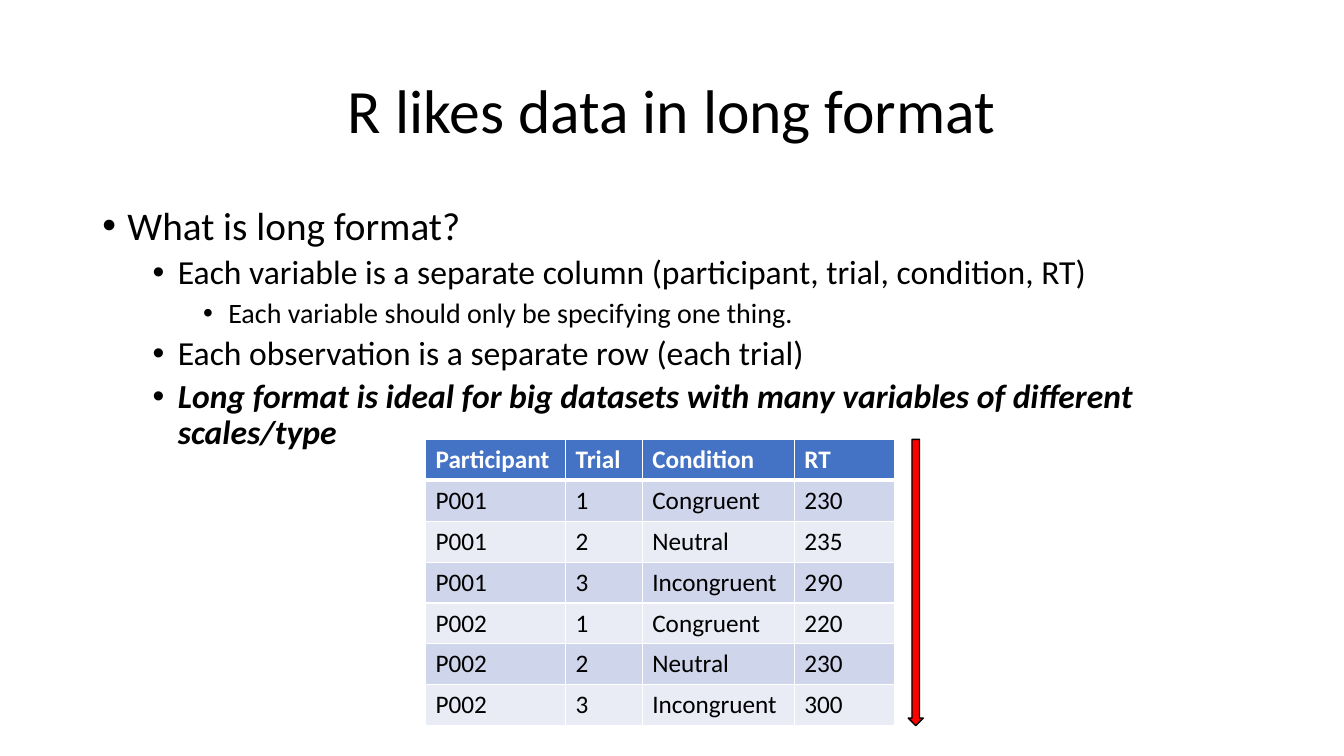
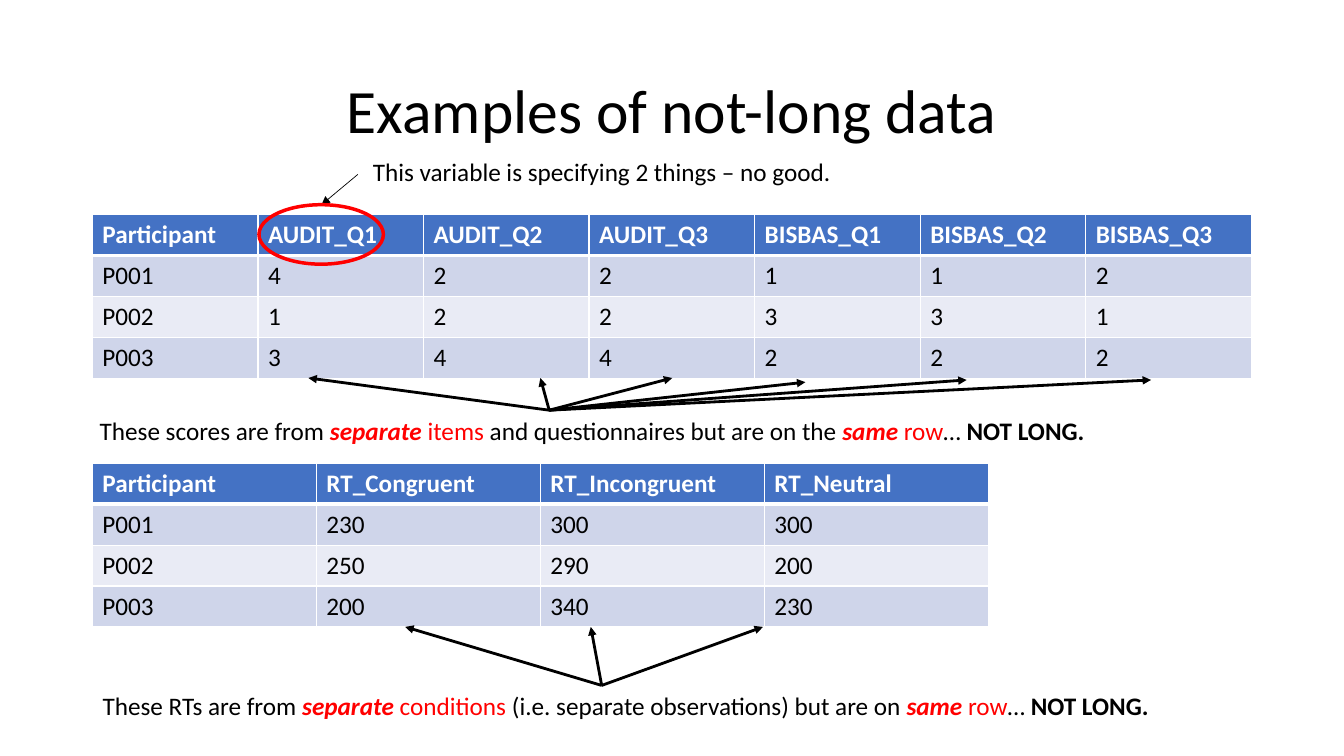
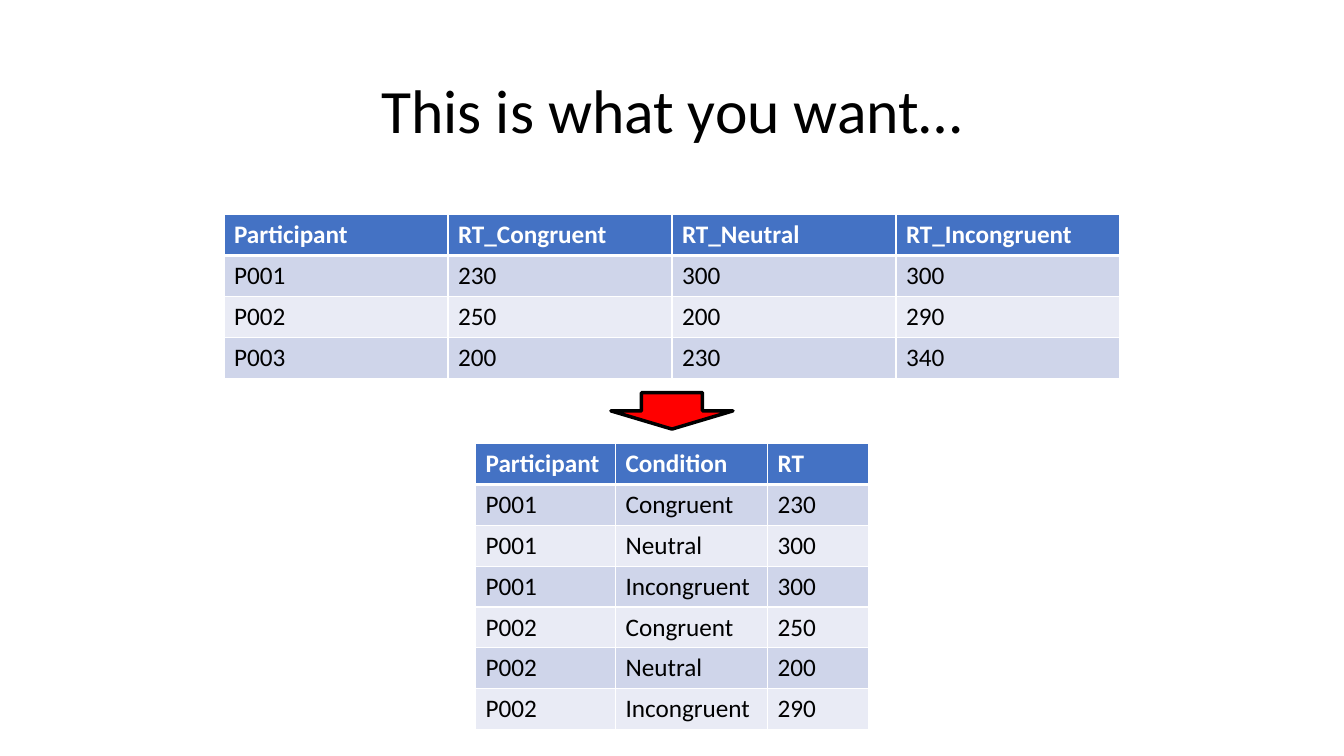
"""Build three slides on long and not-long data formats."""
import pptx
import pptx.dml.color
import pptx.enum.shapes
import pptx.enum.text
import pptx.oxml
import pptx.oxml.ns
import pptx.util

Pt = pptx.util.Pt
SHAPES = pptx.enum.shapes.MSO_SHAPE
FONT = "Calibri"
COLOURS = {"text": "000000", "white": "FFFFFF", "red": "FF0000",
           "header": "4472C4", "odd": "CFD5EA", "even": "E9EBF5"}
SLIDE_WIDTH, SLIDE_HEIGHT = 960, 540
MARGIN = 66
TITLE_BOX = (MARGIN, 28.8, SLIDE_WIDTH - 2 * MARGIN, 104.4)
BODY_BOX = (MARGIN, 144, SLIDE_WIDTH - 2 * MARGIN, 342.7)
ROW_HEIGHT = 29.2
WIDE_TOP = 153.3
RT_WIDTHS = [160] * 4
AUDIT_WIDTHS = [(SLIDE_WIDTH - 2 * MARGIN) / 7] * 7
LONG_WIDTHS = {"Participant": 100, "Trial": 54.8, "Condition": 108.6, "RT": 72}
BULLET_SIZES = [28, 24, 20]
RUN_STYLES = {"plain": ("text", False, False), "stress": ("red", True, True),
              "red": ("red", False, False), "bold": ("text", True, False),
              "strong": ("text", True, True), "header": ("white", True, False)}

BULLETS = [
    (0, "What is long format?", "plain"),
    (1, "Each variable is a separate column (participant, trial, condition, RT)", "plain"),
    (2, "Each variable should only be specifying one thing.", "plain"),
    (1, "Each observation is a separate row (each trial)", "plain"),
    (1, "Long format is ideal for big datasets with many variables of different scales/type",
     "strong"),
]
TRIAL_ROWS = [
    ("Participant", "Trial", "Condition", "RT"),
    ("P001", "1", "Congruent", "230"),
    ("P001", "2", "Neutral", "235"),
    ("P001", "3", "Incongruent", "290"),
    ("P002", "1", "Congruent", "220"),
    ("P002", "2", "Neutral", "230"),
    ("P002", "3", "Incongruent", "300"),
]
AUDIT_ROWS = [
    ("Participant", "AUDIT_Q1", "AUDIT_Q2", "AUDIT_Q3", "BISBAS_Q1", "BISBAS_Q2", "BISBAS_Q3"),
    ("P001", "4", "2", "2", "1", "1", "2"),
    ("P002", "1", "2", "2", "3", "3", "1"),
    ("P003", "3", "4", "4", "2", "2", "2"),
]
WIDE_ROWS = [
    ("Participant", "RT_Congruent", "RT_Neutral", "RT_Incongruent"),
    ("P001", "230", "300", "300"),
    ("P002", "250", "200", "290"),
    ("P003", "200", "230", "340"),
]
SWAPPED_ROWS = [(who, congruent, incongruent, neutral)
                for who, congruent, neutral, incongruent in WIDE_ROWS]
CONDITION_ROWS = [("Participant", "Condition", "RT")] + [
    (row[0], heading.removeprefix("RT_"), value)
    for row in WIDE_ROWS[1:3] for heading, value in zip(WIDE_ROWS[0][1:], row[1:])]

NOTES = [
    ((259.2, 108, 350, 29.1), [("This variable is specifying 2 things – no good.", "plain")]),
    ((64.1, 293, 723.6, 29.1), [
        ("These scores are from ", "plain"), ("separate", "stress"), (" items ", "red"),
        ("and questionnaires but are on the ", "plain"), ("same", "stress"), (" row", "red"),
        ("… ", "plain"), ("NOT LONG.", "bold")]),
    ((66.2, 489.6, 766.8, 29.1), [
        ("These RTs are from ", "plain"), ("separate", "stress"), (" conditions ", "red"),
        ("(i.e. separate observations) but are on ", "plain"), ("same", "stress"),
        (" row", "red"), ("… ", "plain"), ("NOT LONG.", "bold")]),
]
ARROW_FANS = [
    ((392.3, 293), 2, [(220.3, 270), (386, 270), (480.2, 270), (575.3, 273),
                       (690.5, 271.4), (822.2, 271.4)]),
    ((429.8, 489.6), 2, [(289.4, 447.8), (422, 447.8), (545, 447.8)]),
    ((255.6, 124.6), 0.5, [(229.7, 146.2)]),
]


def rgb(name):
    return pptx.dml.color.RGBColor.from_string(COLOURS[name])


def points(values):
    return [Pt(value) for value in values]


def add_span(para, text, size, style="plain"):
    span = para.add_run()
    span.text = text
    colour, span.font.bold, span.font.italic = RUN_STYLES[style]
    span.font.color.rgb = rgb(colour)
    span.font.name, span.font.size = FONT, Pt(size)


def add_element(parent, tag, **attributes):
    child = parent.makeelement(pptx.oxml.ns.qn(tag), attributes)
    parent.append(child)
    return child


def add_page(deck, title):
    page = deck.slides.add_slide(deck.slide_layouts[6])
    frame = page.shapes.add_textbox(*points(TITLE_BOX)).text_frame
    frame.word_wrap = True
    frame.vertical_anchor = pptx.enum.text.MSO_ANCHOR.MIDDLE
    para = frame.paragraphs[0]
    para.alignment = pptx.enum.text.PP_ALIGN.CENTER
    para.line_spacing = 0.9
    add_span(para, title, 44)
    return page


def add_bullets(page):
    frame = page.shapes.add_textbox(*points(BODY_BOX)).text_frame
    frame.word_wrap = True
    for index, (level, text, style) in enumerate(BULLETS):
        para = frame.add_paragraph() if index else frame.paragraphs[0]
        properties = para._p.get_or_add_pPr()
        properties.set("marL", str(Pt(18 + 36 * level)))
        properties.set("indent", str(Pt(-18)))
        add_element(properties, "a:buFont", typeface="Arial")
        add_element(properties, "a:buChar", char="•")
        para.level = level
        para.line_spacing = 0.9
        if index:
            para.space_before = Pt(5)
        add_span(para, text, BULLET_SIZES[level], style)


def add_borders(cell, top, bottom):
    properties = cell._tc.get_or_add_tcPr()
    for side, width in (("L", 1), ("R", 1), ("T", top), ("B", bottom)):
        line = add_element(properties, f"a:ln{side}", w=str(Pt(width)))
        fill = add_element(line, "a:solidFill")
        add_element(fill, "a:srgbClr", val=COLOURS["white"])


def add_grid(page, left, top, widths, rows):
    size = (sum(widths), ROW_HEIGHT * len(rows))
    table = page.shapes.add_table(len(rows), len(widths), *points((left, top, *size))).table
    for column, width in zip(table.columns, widths):
        column.width = Pt(width)
    for r, values in enumerate(rows):
        table.rows[r].height = Pt(ROW_HEIGHT)
        shade = "header" if r == 0 else ("even", "odd")[r % 2]
        for c, value in enumerate(values):
            cell = table.cell(r, c)
            add_borders(cell, 3 if r == 1 else 1, 3 if r == 0 else 1)
            cell.fill.solid()
            cell.fill.fore_color.rgb = rgb(shade)
            add_span(cell.text_frame.paragraphs[0], value, 18, "plain" if r else "header")


def add_long_grid(page, left, top, rows):
    add_grid(page, left, top, [LONG_WIDTHS[name] for name in rows[0]], rows)


def add_outline(page, kind, place, line, width, fill=None):
    shape = page.shapes.add_shape(kind, *points(place))
    shape.shadow.inherit = False
    shape.line.color.rgb = rgb(line)
    shape.line.width = Pt(width)
    if fill:
        shape.fill.solid()
        shape.fill.fore_color.rgb = rgb(fill)
    else:
        shape.fill.background()


def add_arrow(page, start, end, width):
    arrow = page.shapes.add_connector(
        pptx.enum.shapes.MSO_CONNECTOR.STRAIGHT, *points((*start, *end)))
    arrow.line.color.rgb = rgb("text")
    arrow.line.width = Pt(width)
    properties = arrow._element.spPr
    add_element(properties.find(pptx.oxml.ns.qn("a:ln")), "a:tailEnd", type="triangle")
    add_element(properties, "a:effectLst")


def add_note(page, place, spans):
    frame = page.shapes.add_textbox(*points(place)).text_frame
    frame.word_wrap = False
    for text, style in spans:
        add_span(frame.paragraphs[0], text, 18, style)


def main():
    deck = pptx.Presentation()
    deck.slide_width, deck.slide_height = points((SLIDE_WIDTH, SLIDE_HEIGHT))

    page = add_page(deck, "R likes data in long format")
    add_bullets(page)
    add_long_grid(page, 304, 313.9, TRIAL_ROWS)
    add_outline(page, SHAPES.DOWN_ARROW, (648.7, 313.9, 10.8, 204.5), "text", 1, "red")

    page = add_page(deck, "Examples of not-long data")
    add_grid(page, MARGIN, WIDE_TOP, AUDIT_WIDTHS, AUDIT_ROWS)
    add_grid(page, MARGIN, 331, RT_WIDTHS, SWAPPED_ROWS)
    for start, width, ends in ARROW_FANS:
        for end in ends:
            add_arrow(page, start, end, width)
    add_outline(page, SHAPES.OVAL, (185, 146.2, 88.9, 42.5), "red", 2.5)
    for place, spans in NOTES:
        add_note(page, place, spans)

    page = add_page(deck, "This is what you want…")
    add_outline(page, SHAPES.DOWN_ARROW, (436.4, 280.5, 87.2, 26), "text", 2.5, "red")
    add_grid(page, (SLIDE_WIDTH - sum(RT_WIDTHS)) / 2, WIDE_TOP, RT_WIDTHS, WIDE_ROWS)
    add_long_grid(page, 339.7, 316.8, CONDITION_ROWS)

    deck.save("out.pptx")


if __name__ == "__main__":
    main()
